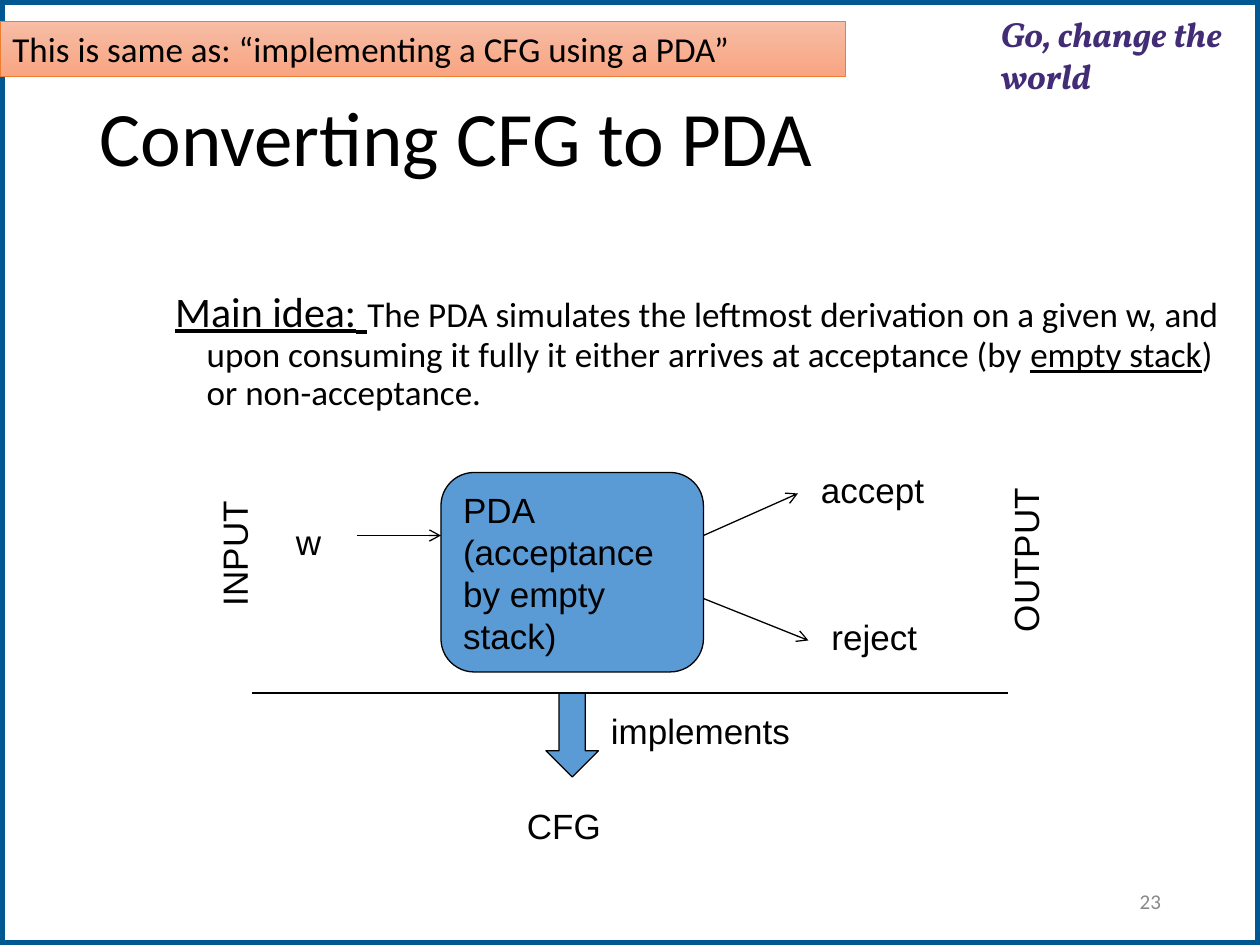
from dataclasses import dataclass

from lxml import etree
from pptx import Presentation
from pptx.dml.color import RGBColor
from pptx.enum.shapes import MSO_CONNECTOR, MSO_SHAPE
from pptx.enum.text import MSO_ANCHOR, MSO_AUTO_SIZE, PP_ALIGN
from pptx.oxml.ns import qn
from pptx.util import Inches, Pt

RECT, ROUND, DOWN = MSO_SHAPE.RECTANGLE, MSO_SHAPE.ROUNDED_RECTANGLE, MSO_SHAPE.DOWN_ARROW
STRAIGHT = MSO_CONNECTOR.STRAIGHT
TOP, MID = MSO_ANCHOR.TOP, MSO_ANCHOR.MIDDLE
LEFT, RIGHT = PP_ALIGN.LEFT, PP_ALIGN.RIGHT
FIXED, GROW = MSO_AUTO_SIZE.NONE, MSO_AUTO_SIZE.SHAPE_TO_FIT_TEXT
CELLS = 12  # grid cells to the inch


@dataclass(frozen=True)
class Theme:
    ink: str = "000000"
    paper: str = "FFFFFF"
    frame: str = "005893"
    motto: str = "422C75"
    node: str = "5B9BD5"
    edge: str = "ED7D31"
    warm: tuple = ("F7BDA5", "F8A582")
    mute: str = "898989"
    sans: str = "Calibri"
    plain: str = "Arial"
    serif: str = "Vollkorn"
    title: int = 44
    lead: int = 24
    gap: int = 28
    text: int = 20
    note: int = 12


T = Theme()


def rgb(code):
    return RGBColor.from_string(code)


def grid(*cells):
    return [Inches(cell / CELLS) for cell in cells]


def write(shape, *runs, font=T.plain, size=T.text, color=T.ink, bold=False, italic=False,
          align=LEFT, anchor=TOP, wrap=True, fit=FIXED, ratio=1.0, hang=0, pad=None):
    """Fill a shape with one paragraph; a run is a text or (text, size, underline)."""
    frame = shape.text_frame
    frame.word_wrap, frame.auto_size, frame.vertical_anchor = wrap, fit, anchor
    if pad is not None:
        frame.margin_left = frame.margin_right = frame.margin_top = frame.margin_bottom = pad
    para = frame.paragraphs[0]
    para.alignment, para.line_spacing, para.space_before = align, ratio, Pt(0)
    if hang:
        props = para._p.get_or_add_pPr()
        props.set("marL", str(Inches(hang)))
        props.set("indent", str(-Inches(hang)))
        etree.SubElement(props, qn("a:buNone"))
    for item in runs:
        words, points, under = (item, size, False) if isinstance(item, str) else item
        for row, line in enumerate(words.split("\n")):
            if row:
                para.add_line_break()
            run = para.add_run()
            run.text = line
            face = run.font
            face.name, face.size, face.underline = font, Pt(points), under
            face.bold, face.italic, face.color.rgb = bold, italic, rgb(color)


def box(slide, kind, place, fill, line=T.ink, width=0.75):
    shape = slide.shapes.add_shape(kind, *place)
    shape.shadow.inherit = False
    if isinstance(fill, tuple):
        shape.fill.gradient()
        shape.fill.gradient_angle = 270
        for stop, code in zip(shape.fill.gradient_stops, fill):
            stop.color.rgb = rgb(code)
    else:
        shape.fill.solid()
        shape.fill.fore_color.rgb = rgb(fill)
    shape.line.color.rgb = rgb(line)
    shape.line.width = Pt(width)
    return shape


def label(slide, place, words, turn=0, wrap=False, fit=GROW, **form):
    shape = slide.shapes.add_textbox(*place)
    shape.rotation = turn
    write(shape, words, wrap=wrap, fit=fit, **form)


def link(slide, ends, arrow=True):
    line = slide.shapes.add_connector(STRAIGHT, *grid(*ends))
    line.line.color.rgb = rgb(T.ink)
    line.line.width = Pt(0.75)
    if arrow:
        tip = etree.SubElement(line.line._get_or_add_ln(), qn("a:tailEnd"))
        tip.set("type", "arrow")
    etree.SubElement(line._element.spPr, qn("a:effectLst"))


def place_holder(shape, left, top, width, height):
    shape.left, shape.top, shape.width, shape.height = map(Inches, (left, top, width, height))
    return shape


def draw_frame(slide, deck):
    border = box(slide, RECT, (0, 0, deck.slide_width, deck.slide_height),
                 T.paper, T.frame, 6)
    tree = slide.shapes._spTree
    tree.remove(border._element)
    tree.insert(2, border._element)  # behind the placeholders
    label(slide, grid(95.3, 1.2, 24.6, 7.4), "Go, change the world", wrap=True, fit=FIXED,
          font=T.serif, color=T.motto, bold=True, italic=True, pad=0)
    label(slide, grid(84.75, 83.4, 27, 4.8), "23", wrap=True, fit=FIXED, font=T.sans,
          size=T.note, color=T.mute, align=RIGHT, anchor=MID)


def draw_text(slide):
    title = place_holder(slide.shapes.title, 0.69, 0.4, 8.62, 1.45)
    write(title, "Converting CFG to PDA", font=T.sans, size=T.title, anchor=MID, ratio=0.9)
    body = place_holder(slide.placeholders[1], 1.29, 2.21, 8.5, 1.38)
    write(body, ("Main idea:", T.lead, True), (" ", T.gap, True),
          "The PDA simulates the leftmost derivation on a given w, and upon consuming it "
          "fully it either arrives at acceptance (by ",
          ("empty stack", T.text, True), ") or non-acceptance.",
          font=T.sans, ratio=0.9, hang=0.25)
    banner = box(slide, RECT, grid(0, 2, 80.5, 5.25), T.warm, T.edge, 0.5)
    write(banner, "This is same as: “implementing a CFG using a PDA”", font=T.sans)


def draw_flow(slide):
    node = box(slide, ROUND, grid(42, 45, 25, 19), T.node)
    write(node, "PDA\n(acceptance by empty stack)")
    box(slide, DOWN, grid(52, 66, 5, 8), T.node)
    for ends in ((34, 51, 42, 51), (67, 51, 76, 47), (67, 57, 77, 61)):
        link(slide, ends)
    link(slide, (24, 66, 96, 66), arrow=False)
    for words, left, top, width, turn in (
        ("w", 27, 49, 4.8, 0),
        ("accept", 77, 44, 12.4, 0),
        ("reject", 78, 58, 10.7, 0),
        ("implements", 57, 67, 19.7, 0),
        ("CFG", 49, 76, 9.6, 0),
        ("INPUT", 16, 50, 12.6, 270),
        ("OUTPUT", 89.5, 50.6, 16.3, 270),
    ):
        label(slide, grid(left, top, width, 5.25), words, turn)


def main():
    deck = Presentation()
    deck.slide_width, deck.slide_height = Inches(10), Inches(7.5)
    slide = deck.slides.add_slide(deck.slide_layouts[1])
    draw_frame(slide, deck)
    draw_text(slide)
    draw_flow(slide)
    deck.save("out.pptx")


if __name__ == "__main__":
    main()
